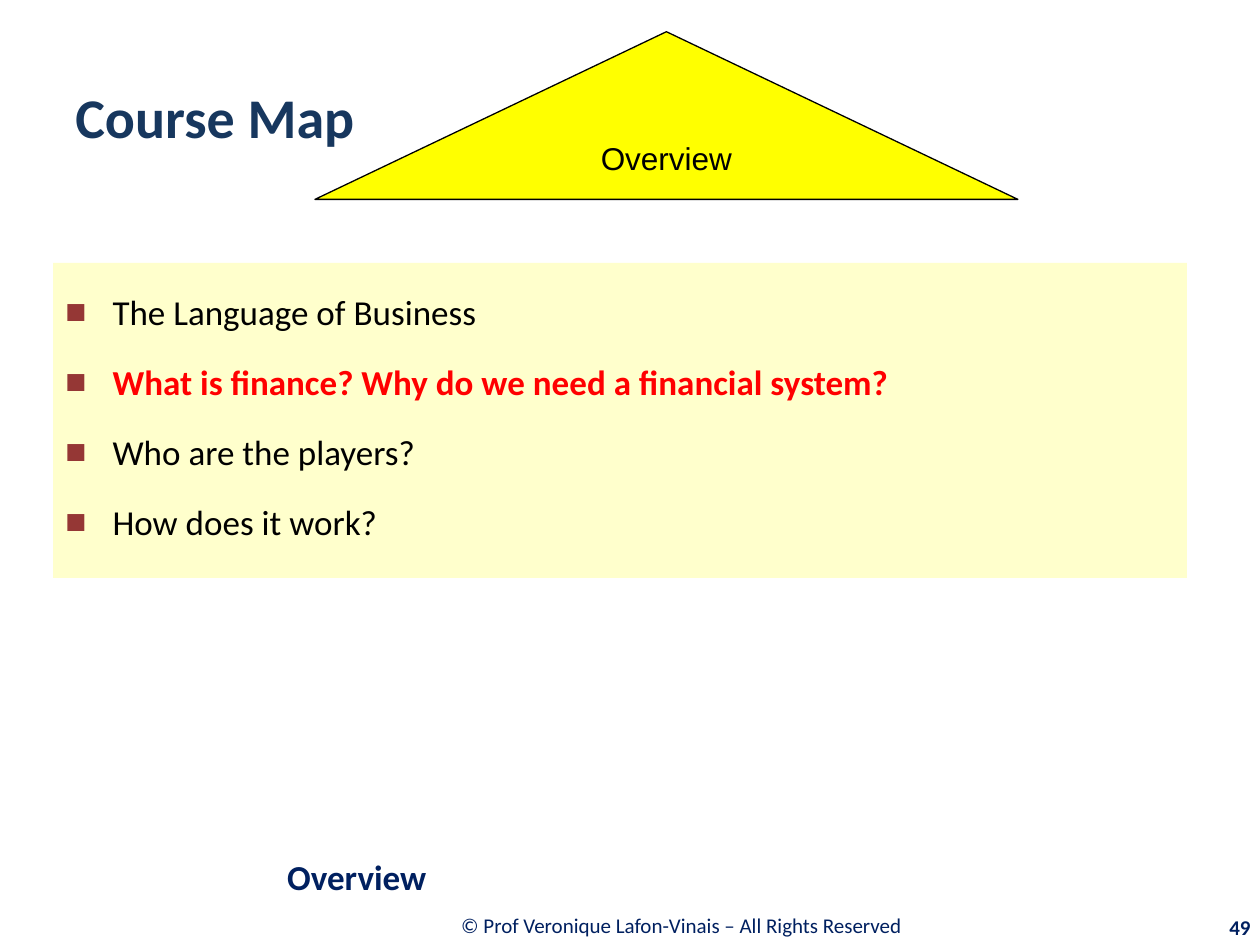
import pptx
import pptx.util
import pptx.dml.color
import pptx.enum.shapes
import pptx.enum.text
import lxml.etree
import pptx.oxml.ns

Cm = pptx.util.Cm
Pt = pptx.util.Pt
RGB = pptx.dml.color.RGBColor.from_string
SHAPE = pptx.enum.shapes.MSO_SHAPE
ALIGN = pptx.enum.text.PP_ALIGN
ANCHOR = pptx.enum.text.MSO_ANCHOR
qn = pptx.oxml.ns.qn

COLORS = {
    "navy": "002060",
    "title": "17375E",
    "yellow": "FFFF00",
    "cream": "FFFFCC",
    "bullet": "953735",
    "red": "FF0000",
    "black": "000000",
}


def add_run(p, text, size, color, bold=False, font="Calibri"):
    r = p.add_run()
    r.text = text
    r.font.size = Pt(size)
    r.font.name = font
    r.font.bold = bold
    r.font.color.rgb = RGB(COLORS[color])


prs = pptx.Presentation()
prs.slide_width = Cm(25.4)
prs.slide_height = Cm(19.05)
s = prs.slides.add_slide(prs.slide_layouts[6])

labels = [
    ((5.56, 18.16, 16.46, 0.99), "© Prof Veronique Lafon-Vinais – All Rights Reserved ", 12, "navy", False, ALIGN.CENTER),
    ((1.27, 0.76, 22.86, 3.18), "Course Map", 32, "title", True, ALIGN.LEFT),
    ((22.89, 18.29, 2.57, 0.81), "49", 12, "navy", True, ALIGN.RIGHT),
    ((5.54, 17.07, 19.86, 1.19), "Overview", 20, "navy", True, ALIGN.LEFT),
]
for box, text, size, color, bold, align in labels:
    sp = s.shapes.add_textbox(*[Cm(v) for v in box])
    tf = sp.text_frame
    tf.word_wrap = True
    tf.vertical_anchor = ANCHOR.MIDDLE
    p = tf.paragraphs[0]
    p.alignment = align
    add_run(p, text, size, color, bold)

sp = s.shapes.add_shape(SHAPE.FLOWCHART_EXTRACT, Cm(6.35), Cm(0.64), Cm(14.17), Cm(3.38))
sp.shadow.inherit = False
sp.fill.solid()
sp.fill.fore_color.rgb = RGB(COLORS["yellow"])
sp.line.color.rgb = RGB(COLORS["black"])
sp.line.width = Pt(0.75)
tf = sp.text_frame
tf.word_wrap = False
tf.vertical_anchor = ANCHOR.MIDDLE
p = tf.paragraphs[0]
p.alignment = ALIGN.CENTER
add_run(p, "Overview", 18, "black", font="Arial")

sp = s.shapes.add_shape(SHAPE.RECTANGLE, Cm(1.07), Cm(5.3), Cm(22.86), Cm(6.35))
sp.shadow.inherit = False
sp.fill.solid()
sp.fill.fore_color.rgb = RGB(COLORS["cream"])
sp.line.fill.background()
tf = sp.text_frame
tf.word_wrap = True
tf.vertical_anchor = ANCHOR.TOP
topics = [
    ("The Language of Business", "black", False),
    ("What is finance? Why do we need a financial system?", "red", True),
    ("Who are the players?", "black", False),
    ("How does it work?", "black", False),
]
for i, (text, color, bold) in enumerate(topics):
    p = tf.add_paragraph() if i else tf.paragraphs[0]
    p.alignment = ALIGN.LEFT
    p.line_spacing = 1.5
    p.space_before = Pt(4)
    add_run(p, text, 20, color, bold)
    pPr = p._p.get_or_add_pPr()
    pPr.set("marL", str(Cm(0.95)))
    pPr.set("indent", str(Cm(-0.95)))
    bu = lxml.etree.SubElement(pPr, qn("a:buClr"))
    lxml.etree.SubElement(bu, qn("a:srgbClr"), val=COLORS["bullet"])
    lxml.etree.SubElement(pPr, qn("a:buFont"), typeface="Arial")
    lxml.etree.SubElement(pPr, qn("a:buChar"), char="■")

prs.save("out.pptx")
